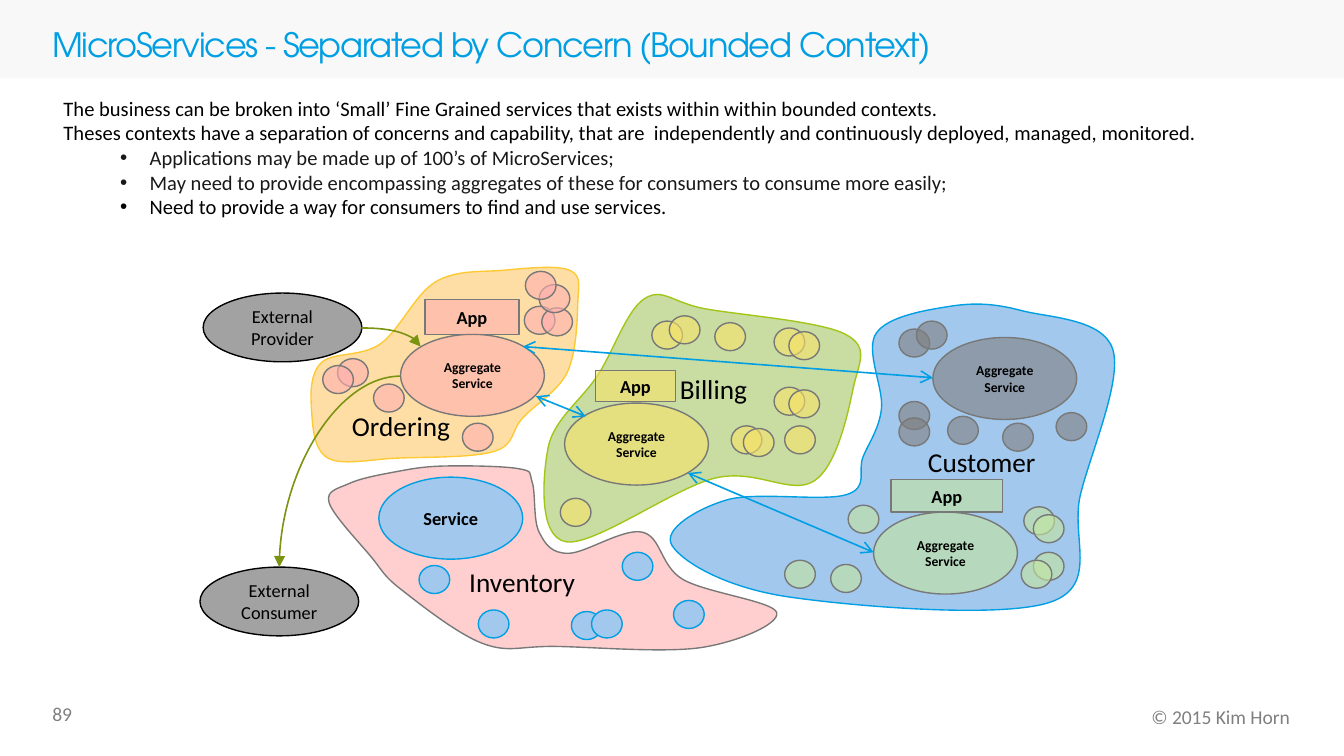
from lxml.etree import SubElement
from pptx import Presentation
from pptx.dml.color import RGBColor
from pptx.enum.shapes import MSO_CONNECTOR, MSO_SHAPE
from pptx.enum.text import MSO_ANCHOR, MSO_AUTO_SIZE, PP_ALIGN
from pptx.oxml.ns import qn
from pptx.util import Cm, Pt

BLACK = RGBColor(0x00, 0x00, 0x00)
INK = RGBColor(0x1A, 0x18, 0x18)
GRAY = RGBColor(0x80, 0x80, 0x80)
OUTLINE = RGBColor(0x77, 0x78, 0x77)
BAND = RGBColor(0xF2, 0xF2, 0xF2)
STEEL = RGBColor(0xA2, 0xA2, 0xA2)
BLUE = RGBColor(0x00, 0x9F, 0xE3)
SKY = RGBColor(0xA2, 0xC8, 0xED)
PINK = RGBColor(0xFF, 0xAF, 0xAF)
PEACH = RGBColor(0xFE, 0xDE, 0xA5)
AMBER = RGBColor(0xFE, 0xCA, 0x33)
SAGE = RGBColor(0xC9, 0xDC, 0xA2)
LIME = RGBColor(0xA2, 0xC6, 0x17)
OLIVE = RGBColor(0x7A, 0x94, 0x11)
YELLOW = RGBColor(0xF6, 0xE2, 0x6A)
MINT = RGBColor(0xC4, 0xE5, 0x9F)


def paint(shape, fill, opacity, outline):
    shape.shadow.inherit = False
    shape.fill.solid()
    shape.fill.fore_color.rgb = fill
    if opacity < 100:
        color = shape.element.spPr.find(qn("a:solidFill")).find(qn("a:srgbClr"))
        SubElement(color, qn("a:alpha"), val=str(opacity * 1000))
    if outline is None:
        shape.line.fill.background()
    else:
        shape.line.color.rgb = outline
        shape.line.width = Pt(0.75)


def write(shape, words, size, color=BLACK, bold=False, align=PP_ALIGN.CENTER,
          face="Calibri", **frame_format):
    frame = shape.text_frame
    settings = {
        "margin_left": Cm(0.18), "margin_right": Cm(0.18),
        "margin_top": Cm(0.08), "margin_bottom": Cm(0.08),
        "word_wrap": True, "auto_size": MSO_AUTO_SIZE.NONE,
        "vertical_anchor": MSO_ANCHOR.MIDDLE,
    }
    for key, value in (settings | frame_format).items():
        setattr(frame, key, value)
    frame.text = words
    for paragraph in frame.paragraphs:
        paragraph.alignment = align
        for run in paragraph.runs:
            for key, value in {"name": face, "size": Pt(size), "bold": bold}.items():
                setattr(run.font, key, value)
            run.font.color.rgb = color


deck = Presentation()
deck.slide_width, deck.slide_height = Cm(25.4), Cm(14.29)
slide = deck.slides.add_slide(deck.slide_layouts[5])
shapes = slide.shapes
flush = dict.fromkeys(("margin_left", "margin_right", "margin_top", "margin_bottom"), 0)

band = shapes.add_shape(MSO_SHAPE.RECTANGLE, 0, 0, deck.slide_width, Cm(1.48))
paint(band, BAND, 50, None)
band.element.getparent().insert(2, band.element)

title = shapes.title
for key, value in {"left": Cm(0.99), "top": Cm(0.53),
                   "width": Cm(20.45), "height": Cm(0.69)}.items():
    setattr(title, key, value)
write(title, "MicroServices - Separated by Concern (Bounded Context)", 18, BLUE,
      align=PP_ALIGN.LEFT, face="TeX Gyre Adventor", **flush)
heading = title.text_frame.paragraphs[0]
heading.line_spacing = 0.9
heading.runs[0].font._element.set("spc", "-70")

intro = shapes.add_textbox(Cm(1.02), Cm(1.73), Cm(23.14), Cm(2.54))
write(intro, "\n".join([
    "The business can be broken into ‘Small’ Fine Grained services that exists within within bounded contexts.",
    "Theses contexts have a separation of concerns and capability, that are  independently and continuously deployed, managed, monitored.",
    "Applications may be made up of 100’s of MicroServices;",
    "May need to provide encompassing aggregates of these for consumers to consume more easily;",
    "Need to provide a way for consumers to find and use services.",
]), 11, align=PP_ALIGN.LEFT, vertical_anchor=MSO_ANCHOR.TOP)
for point in intro.text_frame.paragraphs[2:]:
    point.level = 1
    layout = point._p.get_or_add_pPr()
    layout.set("marL", str(Cm(1.63)))
    layout.set("indent", str(Cm(-0.56)))
    SubElement(layout, qn("a:buFont"), typeface="Arial")
    SubElement(layout, qn("a:buChar"), char="•")
for point in intro.text_frame.paragraphs[2:4]:
    point.runs[0].font.color.rgb = INK

contexts = [
    (PINK, 61, OUTLINE, [
        (9.8, 8.86), (8.38, 8.81), (7.47, 8.92), (6.6, 9.14), (6.22, 9.5), (7.01, 10.52),
        (7.59, 11.15), (9.14, 12.17), (10.52, 12.22), (13.26, 12.24), (14.68, 11.58),
        (12.9, 10.95), (12.14, 10.06), (10.74, 10.46), (10.19, 10.06), (10.06, 9.12)]),
    (PEACH, 100, AMBER, [
        (10.92, 5.74), (10.72, 7.04), (9.88, 7.9), (9.35, 8.53), (7.52, 8.66), (6.2, 8.66),
        (5.89, 7.77), (6.07, 6.86), (7.19, 6.5), (8.23, 5.33), (9.5, 5.11), (10.77, 5.11)]),
    (SAGE, 100, LIME, [
        (13.34, 5.84), (15.98, 6.32), (16.13, 7.32), (15.39, 9.09), (13.51, 9.04),
        (10.69, 10.24), (10.36, 8.46), (11.3, 7.09), (12.19, 5.64)]),
    (SKY, 100, BLUE, [
        (16.56, 6.3), (16.66, 7.72), (16.31, 8.64), (16, 9.35), (13.74, 9.45), (12.7, 10.31),
        (14.88, 11.28), (19.86, 11.38), (20.42, 9.35), (21.03, 6.6), (19.3, 5.87), (17.96, 5.79)]),
]
for fill, opacity, outline, anchors in contexts:
    corners = [(Cm(x), Cm(y)) for x, y in anchors]
    builder = shapes.build_freeform(*corners[0])
    builder.add_line_segments(corners[1:] + corners[:1], close=True)
    context = builder.convert_to_shape()
    paint(context, fill, opacity, outline)
    origin = (context.left, context.top)
    for i, segment in enumerate(list(context.element.iter(qn("a:lnTo")))):
        before, start, end, after = [corners[(i + k) % len(corners)] for k in (-1, 0, 1, 2)]
        leaving = [s + (e - b) / 6 - o for b, s, e, o in zip(before, start, end, origin)]
        arriving = [e - (a - s) / 6 - o for s, e, a, o in zip(start, end, after, origin)]
        segment.tag = qn("a:cubicBezTo")
        for place, (x, y) in enumerate((leaving, arriving)):
            handle = SubElement(segment, qn("a:pt"), x=str(round(x)), y=str(round(y)))
            segment.insert(place, handle)

for name, left, top, width in [
    ("Ordering", 6.48, 7.65, 2.2), ("Inventory", 8.69, 10.6, 2.36),
    ("Billing", 12.67, 6.96, 1.63), ("Customer", 17.35, 8.33, 2.41),
]:
    label = shapes.add_textbox(Cm(left), Cm(top), Cm(width), Cm(0.81))
    write(label, name, 14.6, word_wrap=False, vertical_anchor=MSO_ANCHOR.TOP)

AGGREGATE = ("Aggregate Service", MSO_SHAPE.OVAL, 2.72, 1.55, 7.3, True)
SERVICE = ("Service", MSO_SHAPE.OVAL, 2.72, 1.55, 9.8, True)
PROVIDER = ("External Provider", MSO_SHAPE.OVAL, 3, 1.3, 9.8, False)
CONSUMER = ("External Consumer", MSO_SHAPE.OVAL, 3, 1.3, 9.8, False)
for kind, left, top, fill, opacity, outline in [
    (SERVICE, 7.16, 9.02, SKY, 100, BLUE),
    (AGGREGATE, 17.63, 6.38, GRAY, 61, OUTLINE),
    (AGGREGATE, 10.67, 7.62, YELLOW, 61, OUTLINE),
    (AGGREGATE, 7.57, 6.32, PINK, 61, OUTLINE),
    (AGGREGATE, 16.51, 9.68, MINT, 61, OUTLINE),
    (CONSUMER, 3.78, 10.72, STEEL, 100, BLACK),
    (PROVIDER, 3.84, 5.54, STEEL, 100, BLACK),
    (("App", MSO_SHAPE.RECTANGLE, 2.11, 0.61, 9.8, True), 16.84, 9.07, MINT, 61, OUTLINE),
    (("App", MSO_SHAPE.RECTANGLE, 1.52, 0.58, 9.8, True), 11.25, 7.01, YELLOW, 61, OUTLINE),
    (("App", MSO_SHAPE.RECTANGLE, 1.78, 0.66, 9.8, True), 8.03, 5.66, PINK, 61, OUTLINE),
]:
    words, preset, width, height, size, bold = kind
    node = shapes.add_shape(preset, Cm(left), Cm(top), Cm(width), Cm(height))
    paint(node, fill, opacity, outline)
    write(node, words, size, bold=bold)

EXCHANGE = (MSO_CONNECTOR.STRAIGHT, BLUE, {"headEnd": "arrow", "tailEnd": "arrow"})
FLOW = (MSO_CONNECTOR.CURVE, OLIVE, {"tailEnd": "triangle"})
for (route, color, ends), *points in [
    (EXCHANGE, 10.13, 7.49, 11.07, 7.87),
    (EXCHANGE, 13, 8.94, 16.51, 10.44),
    (EXCHANGE, 9.88, 6.55, 17.63, 7.14),
    (FLOW, 7.57, 7.11, 5.28, 10.72),
    (FLOW, 6.83, 6.2, 7.95, 6.55),
]:
    link = shapes.add_connector(route, *map(Cm, points))
    link.line.color.rgb = color
    link.line.width = Pt(0.85)
    properties = link._element.spPr
    if route == MSO_CONNECTOR.CURVE:
        properties.find(qn("a:prstGeom")).set("prst", "curvedConnector2")
    for end, arrow in ends.items():
        SubElement(properties.find(qn("a:ln")), qn(f"a:{end}"), type=arrow)
    SubElement(properties, qn("a:effectLst"))

microservices = [
    (YELLOW, 61, OUTLINE, [
        (12.32, 6.07), (13.51, 6.1), (10.59, 9.42), (14.63, 6.2), (14.63, 7.32), (13.82, 8.05),
        (14.91, 6.27), (12.65, 5.97), (14.91, 7.37), (14.05, 8.1), (14.83, 8.05)]),
    (PINK, 61, OUTLINE, [
        (9.91, 5.79), (6.38, 6.78), (10.24, 5.82), (8.74, 8), (7.06, 7.26), (6.1, 6.91),
        (10.19, 5.38), (9.93, 5.13)]),
    (SKY, 100, BLUE, [
        (7.92, 10.69), (9.04, 11.53), (10.8, 11.56), (11.18, 11.53), (11.76, 10.44), (12.73, 11.35)]),
    (MINT, 61, OUTLINE, [
        (19.35, 9.58), (16.03, 9.55), (19.53, 10.44), (19.53, 9.73), (14.83, 10.59),
        (15.7, 10.67), (19.3, 10.59)]),
    (GRAY, 61, OUTLINE, [
        (16.99, 7.59), (19.96, 7.8), (17.91, 7.87), (18.95, 8), (16.99, 7.9), (16.99, 6.22),
        (17.32, 6.07)]),
]
for fill, opacity, outline, places in microservices:
    for left, top in places:
        microservice = shapes.add_shape(MSO_SHAPE.OVAL, Cm(left), Cm(top), Cm(0.58), Cm(0.53))
        paint(microservice, fill, opacity, outline)

page_number = shapes.add_textbox(Cm(0.99), Cm(13.13), Cm(0.81), Cm(0.58))
write(page_number, "89", 10.5, GRAY, align=PP_ALIGN.LEFT, vertical_anchor=MSO_ANCHOR.TOP,
      **(flush | {"margin_top": Cm(0.13)}))
copyright_line = shapes.add_textbox(Cm(14.3), Cm(13.31), Cm(10.08), Cm(0.46))
write(copyright_line, "© 2015 Kim Horn", 10.5, GRAY, align=PP_ALIGN.RIGHT, **flush)

deck.save("out.pptx")
